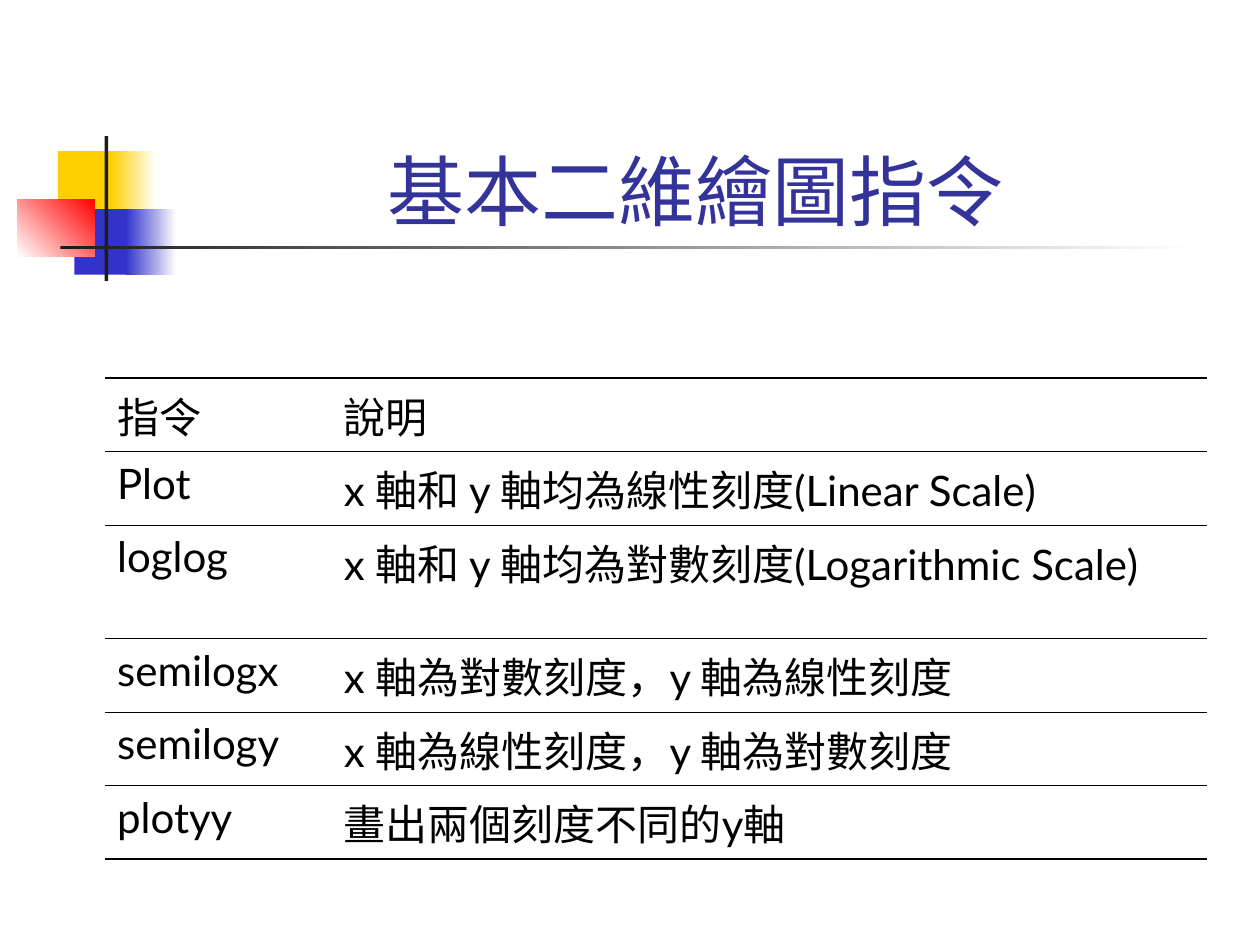
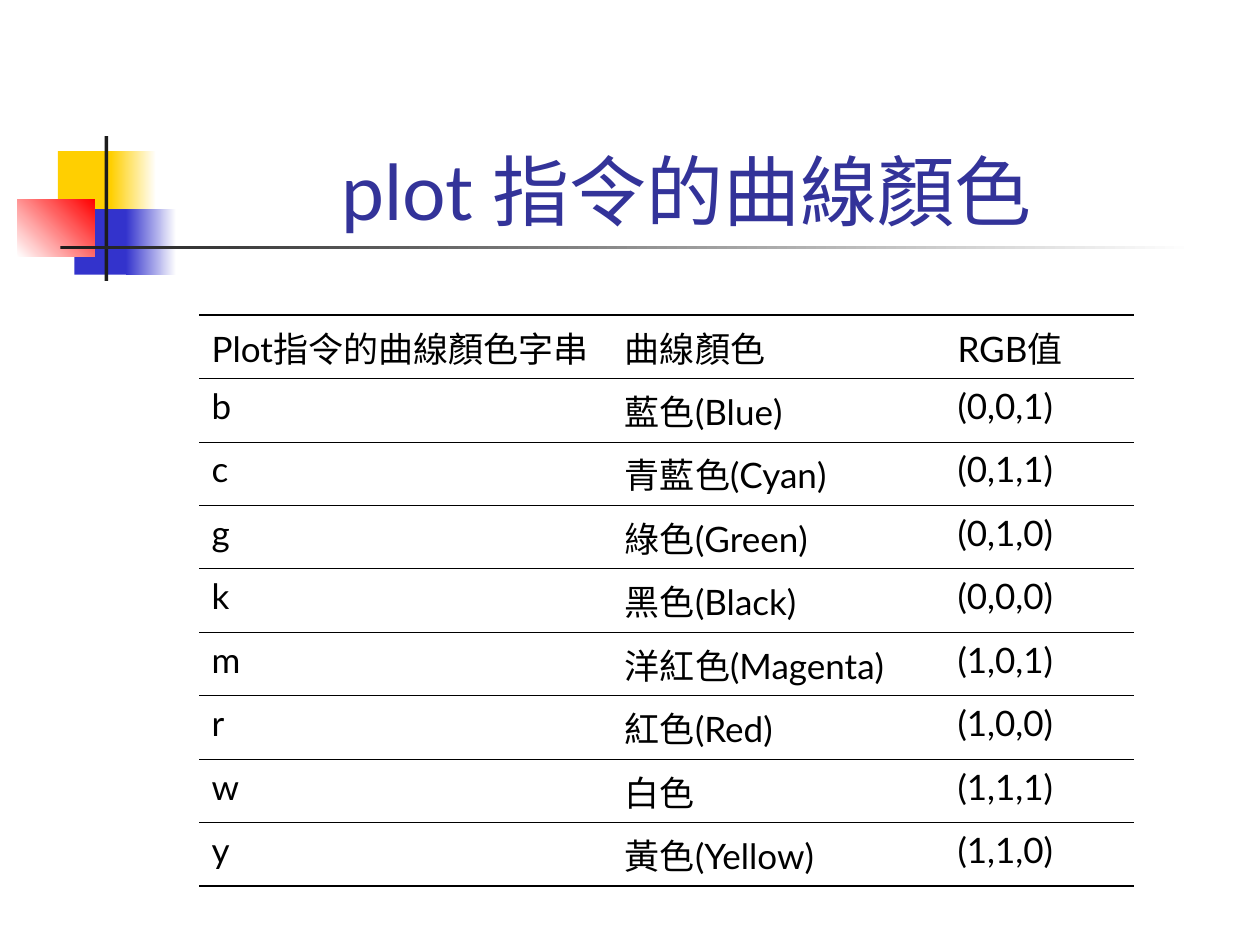
from lxml.etree import SubElement
from pptx import Presentation
from pptx.dml.color import RGBColor as Rgb
from pptx.enum.shapes import MSO_SHAPE as Shape
from pptx.enum.text import MSO_ANCHOR as Anchor, MSO_AUTO_SIZE as AutoSize, PP_ALIGN as Align
from pptx.oxml.ns import qn
from pptx.util import Inches, Pt

COLOURS = {
    "title": "333399", "text": "000000", "rule": "000000", "paper": "FFFFFF",
    "yellow": "FFCF01", "blue": "3333CC", "red": "FF0000", "ink": "1C1C1C",
}
BODY_FONT = "Lato"
TITLE_BOX = (1.26, 0.67, 8.52, 1.25)
THICK, THIN = 1.08, 0.45

# Box, colours from first to last stop, gradient angle
EMBLEM = [
    ((0.46, 1.2, 0.48, 0.52), ["yellow"], 0),
    ((0.88, 1.2, 0.36, 0.52), ["yellow", "paper"], 0),
    ((0.59, 1.66, 0.46, 0.52), ["blue"], 0),
    ((1, 1.66, 0.4, 0.52), ["blue", "paper"], 0),
    ((0.14, 1.58, 0.61, 0.46), ["paper", "red"], 45),
    ((0.83, 1.08, 0.03, 1.15), ["ink"], 0),
    ((0.48, 1.95, 9, 0.03), ["ink", "paper"], 0),
]

COMMANDS = [
    ("指令", "說明"),
    ("Plot", "x 軸和 y 軸均為線性刻度(Linear Scale)"),
    ("loglog", "x 軸和 y 軸均為對數刻度(Logarithmic Scale)"),
    ("semilogx", "x 軸為對數刻度，y 軸為線性刻度"),
    ("semilogy", "x 軸為線性刻度，y 軸為對數刻度"),
    ("plotyy", "畫出兩個刻度不同的y軸"),
]
CURVE_COLOURS = [
    ("Plot指令的曲線顏色字串", "曲線顏色", "RGB值"),
    ("b", "藍色(Blue)", "(0,0,1)"),
    ("c", "青藍色(Cyan)", "(0,1,1)"),
    ("g", "綠色(Green)", "(0,1,0)"),
    ("k", "黑色(Black)", "(0,0,0)"),
    ("m", "洋紅色(Magenta)", "(1,0,1)"),
    ("r", "紅色(Red)", "(1,0,0)"),
    ("w", "白色", "(1,1,1)"),
    ("y", "黃色(Yellow)", "(1,1,0)"),
]


def colour(name):
    return Rgb.from_string(COLOURS[name])


def set_all(target, **values):
    for name, value in values.items():
        setattr(target, name, value)


def write(frame, text, size, font, ink, **para_format):
    para = frame.paragraphs[0]
    set_all(para, **para_format)
    span = para.add_run()
    span.text = text
    set_all(span.font, size=Pt(size), name=font)
    span.font.color.rgb = colour(ink)


def add_emblem(layout, page):
    """Draw the squares and rules on the page, then hand them to its layout."""
    for box, names, angle in EMBLEM:
        block = page.shapes.add_shape(Shape.RECTANGLE, *map(Inches, box))
        block.shadow.inherit = False
        block.line.fill.background()
        if len(names) == 1:
            block.fill.solid()
            block.fill.fore_color.rgb = colour(names[0])
        else:
            block.fill.gradient()
            block.fill.gradient_angle = angle
            for stop, name in zip(block.fill.gradient_stops, names):
                stop.color.rgb = colour(name)
        layout.shapes.element.append(block.element)


def add_title(page, text, font):
    title = page.shapes.title
    left, top, width, height = map(Inches, TITLE_BOX)
    set_all(title, left=left, top=top, width=width, height=height)
    set_all(title.text_frame, vertical_anchor=Anchor.BOTTOM, word_wrap=True,
            auto_size=AutoSize.NONE)
    write(title.text_frame, text, 44, font, "title", alignment=Align.CENTER)


def set_borders(cell, top, bottom):
    """Rule the cell above and below, in points, and leave its sides open."""
    properties = cell._tc.get_or_add_tcPr()
    edges = [("a:lnL", 0), ("a:lnR", 0), ("a:lnT", top), ("a:lnB", bottom)]
    for place, (tag, width) in enumerate(edges):
        line = SubElement(properties, qn(tag), w=str(Pt(width)))
        if width:
            fill = SubElement(line, qn("a:solidFill"))
            SubElement(fill, qn("a:srgbClr"), val=COLOURS["rule"])
        else:
            SubElement(line, qn("a:noFill"))
        properties.insert(place, line)


def add_ruled_table(page, left, top, widths, heights, rows, size, space):
    frame = page.shapes.add_table(
        len(rows), len(widths), Inches(left), Inches(top),
        Inches(sum(widths)), Inches(sum(heights)))
    table = frame.table
    set_all(table, first_row=False, horz_banding=False)
    for column, width in zip(table.columns, widths):
        column.width = Inches(width)
    for row, height in zip(table.rows, heights):
        row.height = Inches(height)
    rules = [THICK, THICK] + [THIN] * (len(rows) - 2) + [THICK]
    for r, texts in enumerate(rows):
        for c, text in enumerate(texts):
            cell = table.cell(r, c)
            cell.fill.background()
            set_borders(cell, rules[r], rules[r + 1])
            write(cell.text_frame, text, size, BODY_FONT, "text", space_before=Pt(space))


def add_commands_page(page):
    add_title(page, "基本二維繪圖指令", "Times New Roman")
    heights = [0.9 if name == "loglog" else 0.5 for name, _ in COMMANDS]
    add_ruled_table(page, 0.83, 3, [1.8, 6.95], heights, COMMANDS, 24, 6)


def add_colours_page(page):
    add_title(page, "plot 指令的曲線顏色 ", BODY_FONT)
    heights = [0.43] * len(CURVE_COLOURS)
    add_ruled_table(page, 1.58, 2.5, [3.28, 2.64, 1.5], heights, CURVE_COLOURS, 20, 5)


def main():
    deck = Presentation()
    set_all(deck, slide_width=Inches(10), slide_height=Inches(7.5))
    layout = deck.slide_layouts.get_by_name("Title Only")
    pages = [deck.slides.add_slide(layout) for _ in range(2)]
    add_emblem(layout, pages[0])
    add_commands_page(pages[0])
    add_colours_page(pages[1])
    deck.save("out.pptx")


if __name__ == "__main__":
    main()
